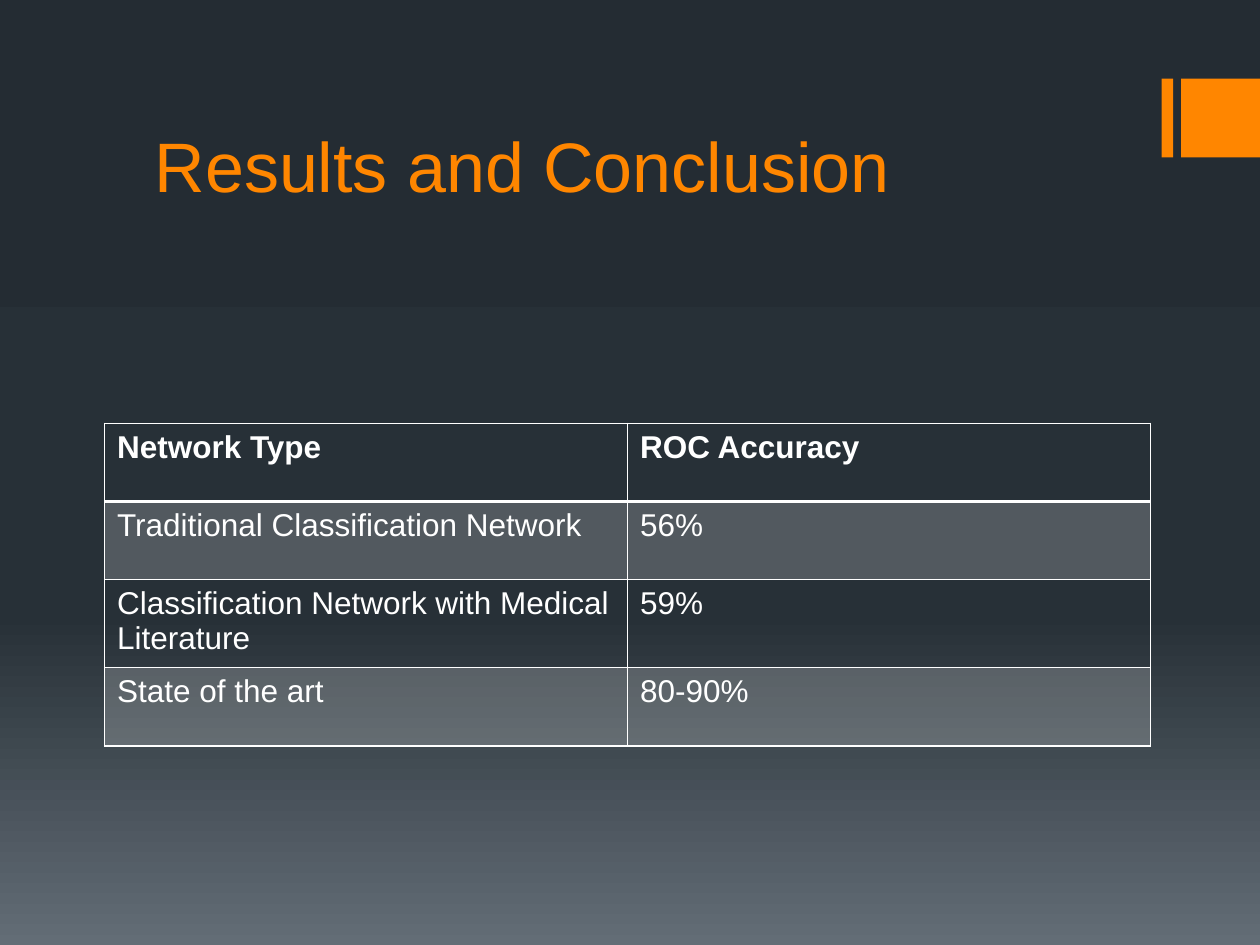
from dataclasses import dataclass
from lxml import etree
from pptx import Presentation
from pptx import util as u
from pptx.dml.color import RGBColor
from pptx.enum import shapes, text
from pptx.oxml.ns import qn

# Content
TITLE = "Results and Conclusion"
RESULTS = [
    ("Network Type", "ROC Accuracy"),
    ("Traditional Classification Network", "56%"),
    ("Classification Network with Medical Literature", "59%"),
    ("State of the art", "80-90%"),
]


@dataclass(frozen=True)
class Theme:
    font: str = "Arial"
    accent: str = "FF8600"
    light: str = "FFFFFF"
    backdrop: tuple = ((0, "242C33"), (65, "273037"), (100, "636D76"))
    title_size: int = 40
    table_size: int = 18
    band_opacity: int = 20
    rule: int = 1
    header_rule: int = 2


THEME = Theme()
WIDTH, HEIGHT = 10, 7.5

# Layout, in inches
TITLE_BOX = (1.13, 0.43, 8, 1.26)
TABLE_LEFT, TABLE_TOP = 0.83, 3.36
COLUMN_WIDTH, ROW_HEIGHT = 4.15, 0.62
MARK_SIZE = HEIGHT / 12
MARKS = [(9.22, 0.09), (WIDTH - MARK_SIZE, MARK_SIZE)]  # left, width


def inches(*values):
    return [u.Inches(value) for value in values]


def add_color(parent, color):
    return etree.SubElement(parent, qn("a:srgbClr"), val=color)


def write(frame, words, size, color, bold=False):
    span = frame.paragraphs[0].add_run()
    span.text = words
    span.font.name = THEME.font
    span.font.size = u.Pt(size)
    span.font.bold = bold
    span.font.color.rgb = RGBColor.from_string(color)


def paint_backdrop(page):
    fill = page.background.fill
    fill.gradient()
    fill.gradient_angle = 270
    stops = page.element.find(".//" + qn("a:gsLst"))
    for stop in list(stops):
        stops.remove(stop)
    for percent, color in THEME.backdrop:
        add_color(etree.SubElement(stops, qn("a:gs"), pos=str(percent * 1000)), color)


def set_borders(cell, top, bottom):
    properties = cell._tc.get_or_add_tcPr()
    sides = [("L", THEME.rule), ("R", THEME.rule), ("T", top), ("B", bottom)]
    for index, (side, points) in enumerate(sides):
        line = etree.Element(qn("a:ln" + side), w=str(u.Pt(points)))
        add_color(etree.SubElement(line, qn("a:solidFill")), THEME.light)
        properties.insert(index, line)


def fill_cell(cell, banded):
    if not banded:
        cell.fill.background()
        return
    cell.fill.solid()
    cell.fill.fore_color.rgb = RGBColor.from_string(THEME.light)
    color = cell._tc.tcPr.find(qn("a:solidFill"))[0]
    etree.SubElement(color, qn("a:alpha"), val=str(THEME.band_opacity * 1000))


def add_marks(page):
    for left, width in MARKS:
        mark = page.shapes.add_shape(
            shapes.MSO_SHAPE.RECTANGLE, *inches(left, MARK_SIZE, width, MARK_SIZE))
        mark.shadow.inherit = False
        mark.fill.solid()
        mark.fill.fore_color.rgb = RGBColor.from_string(THEME.accent)
        mark.line.fill.background()


def add_title(page):
    box = page.shapes.add_textbox(*inches(*TITLE_BOX))
    box.text_frame.word_wrap = True
    box.text_frame.vertical_anchor = text.MSO_ANCHOR.BOTTOM
    write(box.text_frame, TITLE, THEME.title_size, THEME.accent)


def add_results(page):
    rows, columns = len(RESULTS), len(RESULTS[0])
    table = page.shapes.add_table(rows, columns, *inches(
        TABLE_LEFT, TABLE_TOP, columns * COLUMN_WIDTH, rows * ROW_HEIGHT)).table
    table.horz_banding = False
    for r, record in enumerate(RESULTS):
        top = THEME.header_rule if r == 1 else THEME.rule
        bottom = THEME.header_rule if r == 0 else THEME.rule
        for c, words in enumerate(record):
            cell = table.cell(r, c)
            write(cell.text_frame, words, THEME.table_size, THEME.light, bold=r == 0)
            fill_cell(cell, banded=r % 2 == 1)
            set_borders(cell, top, bottom)


def main():
    deck = Presentation()
    deck.slide_width, deck.slide_height = inches(WIDTH, HEIGHT)
    page = deck.slides.add_slide(deck.slide_layouts[6])
    paint_backdrop(page)
    add_marks(page)
    add_title(page)
    add_results(page)
    deck.save("out.pptx")


if __name__ == "__main__":
    main()
